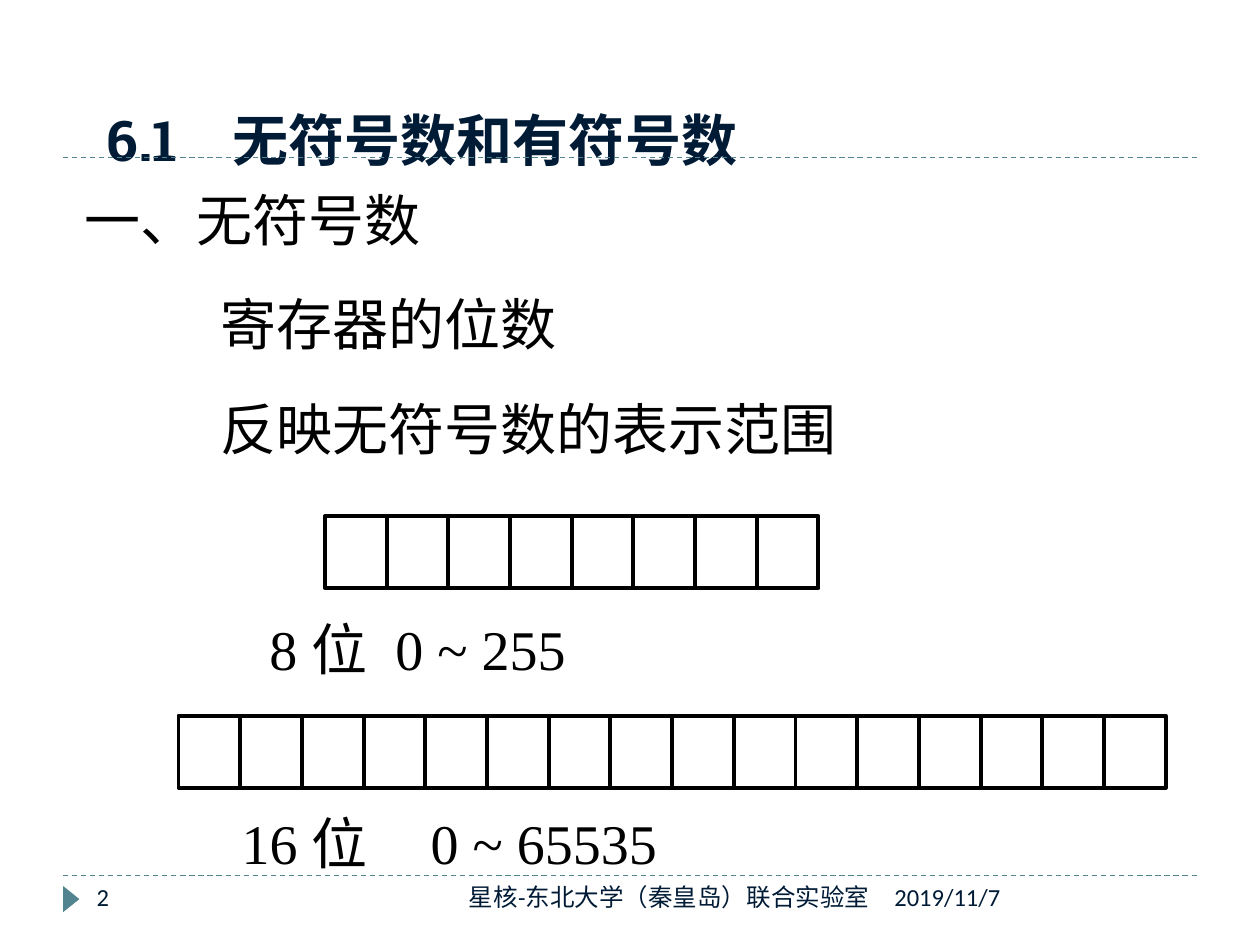
from dataclasses import dataclass

from lxml import etree
from pptx import Presentation
from pptx import util as u
from pptx.dml.color import RGBColor
from pptx.enum import dml, shapes, text
from pptx.oxml import ns


@dataclass(frozen=True)
class Theme:
    navy: RGBColor = RGBColor.from_string("001B36")
    teal: RGBColor = RGBColor.from_string("51848E")
    black: RGBColor = RGBColor.from_string("000000")
    heading_font: str = "Roboto Slab"
    body_font: str = "Times New Roman"
    footer_font: str = "Calibri"
    large: int = 32
    small: int = 14
    rule_width: float = 0.75
    cell_line_width: float = 2.25


def set_all(target, values):
    for name, value in values.items():
        setattr(target, name, value)


def box(left, top, width, height):
    return dict(zip(("left", "top", "width", "height"),
                    map(u.Cm, (left, top, width, height))))


class SlideBuilder:
    def __init__(self, slide, theme):
        self.slide = slide
        self.theme = theme
        self.title_format = dict(name=theme.heading_font, size=u.Pt(theme.large), bold=True)
        self.body_format = dict(name=theme.body_font, size=u.Pt(theme.large))
        self.footer_format = dict(name=theme.footer_font, size=u.Pt(theme.small))

    def fill_text(self, shape, words, font, color, align=text.PP_ALIGN.LEFT,
                  anchor=text.MSO_ANCHOR.TOP, wrap=True, indent=0, tab=None):
        """Fill a shape with one unbulleted paragraph; indent and tab are in cm."""
        set_all(shape.text_frame, dict(word_wrap=wrap, vertical_anchor=anchor,
                                       auto_size=text.MSO_AUTO_SIZE.NONE))
        paragraph = shape.text_frame.paragraphs[0]
        properties = paragraph._p.get_or_add_pPr()
        properties.set("marL", str(u.Cm(indent)))
        properties.set("indent", "0")
        etree.SubElement(properties, ns.qn("a:buNone"))
        if tab:
            tabs = etree.SubElement(properties, ns.qn("a:tabLst"))
            etree.SubElement(tabs, ns.qn("a:tab"), pos=str(u.Cm(tab)), algn="l")
        set_all(paragraph, dict(alignment=align, space_before=u.Pt(0)))
        run = paragraph.add_run()
        run.text = words
        set_all(run.font, font)
        run.font.color.rgb = color

    def title(self, words, area, tab):
        set_all(self.slide.shapes.title, area)
        self.fill_text(self.slide.shapes.title, words, self.title_format, self.theme.navy,
                       anchor=text.MSO_ANCHOR.BOTTOM, tab=tab)

    def body(self, words, area):
        placeholder = self.slide.placeholders[1]
        set_all(placeholder, area)
        self.fill_text(placeholder, words, self.body_format, self.theme.black, wrap=False)

    def statement(self, words, area, **layout):
        self.fill_text(self.slide.shapes.add_textbox(**area), words,
                       self.body_format, self.theme.black, **layout)

    def footer(self, words, area, **layout):
        self.fill_text(self.slide.shapes.add_textbox(**area), words,
                       self.footer_format, self.theme.navy, **layout)

    def rule(self, left, right, y):
        line = self.slide.shapes.add_connector(
            shapes.MSO_CONNECTOR.STRAIGHT, u.Cm(left), u.Cm(y), u.Cm(right), u.Cm(y))
        line.line.color.rgb = self.theme.teal
        set_all(line.line, dict(width=u.Pt(self.theme.rule_width),
                                dash_style=dml.MSO_LINE.DASH))
        etree.SubElement(line._element.spPr, ns.qn("a:effectLst"))

    def marker(self, area):
        triangle = self.slide.shapes.add_shape(
            shapes.MSO_SHAPE.ISOSCELES_TRIANGLE, **area)
        triangle.rotation = 90
        triangle.shadow.inherit = False
        triangle.fill.solid()
        triangle.fill.fore_color.rgb = self.theme.teal
        triangle.line.fill.background()

    def register(self, left, top, bits, cell_width, cell_height):
        """Draw a row of empty bit cells as one group."""
        group = self.slide.shapes.add_group_shape()
        for bit in range(bits):
            cell = group.shapes.add_shape(
                shapes.MSO_SHAPE.RECTANGLE,
                **box(left + bit * cell_width, top, cell_width, cell_height))
            cell.shadow.inherit = False
            cell.fill.background()
            cell.line.color.rgb = self.theme.black
            cell.line.width = u.Pt(self.theme.cell_line_width)


def main():
    presentation = Presentation()
    set_all(presentation, dict(slide_width=u.Cm(25.4), slide_height=u.Cm(19.05)))
    slide = presentation.slides.add_slide(presentation.slide_layouts[1])
    builder = SlideBuilder(slide, Theme())

    for y in (17.65, 3.18):
        builder.rule(1.27, 24.13, y)
    builder.marker(box(1.17, 17.96, 0.53, 0.33))

    builder.title("6.1\t无符号数和有符号数", box(1.9, 0.43, 21.6, 3.18), tab=2.24)
    builder.body("一、无符号数", box(1.45, 3.61, 7.32, 1.6))
    builder.statement("寄存器的位数", box(4.19, 5.72, 9.58, 1.6))
    builder.statement("反映无符号数的表示范围", box(4.19, 7.82, 14.81, 1.6))

    cell_width, cell_height = 19.9 / 16, 1.45
    registers = [
        (8, 6.55, 10.41, "8 位\t0 ~ 255", 12.27, 0.56),
        (16, 3.6, 14.43, "16 位\t0 ~ 65535", 16.18, 0),
    ]
    for bits, left, top, caption, caption_top, indent in registers:
        builder.register(left, top, bits, cell_width, cell_height)
        builder.statement(caption, box(4.62, caption_top, 16.6, 1.6),
                          indent=indent, tab=8.86)

    footer_top, footer_height = 17.65, 1.02
    builder.footer("2019/11/7", box(17.78, footer_top, 6.35, footer_height))
    builder.footer("星核-东北大学（秦皇岛）联合实验室",
                   box(8.05, footer_top, 9.73, footer_height),
                   align=text.PP_ALIGN.RIGHT)
    builder.footer("2", box(1.7, footer_top, 5.51, footer_height))

    presentation.save("out.pptx")


if __name__ == "__main__":
    main()
